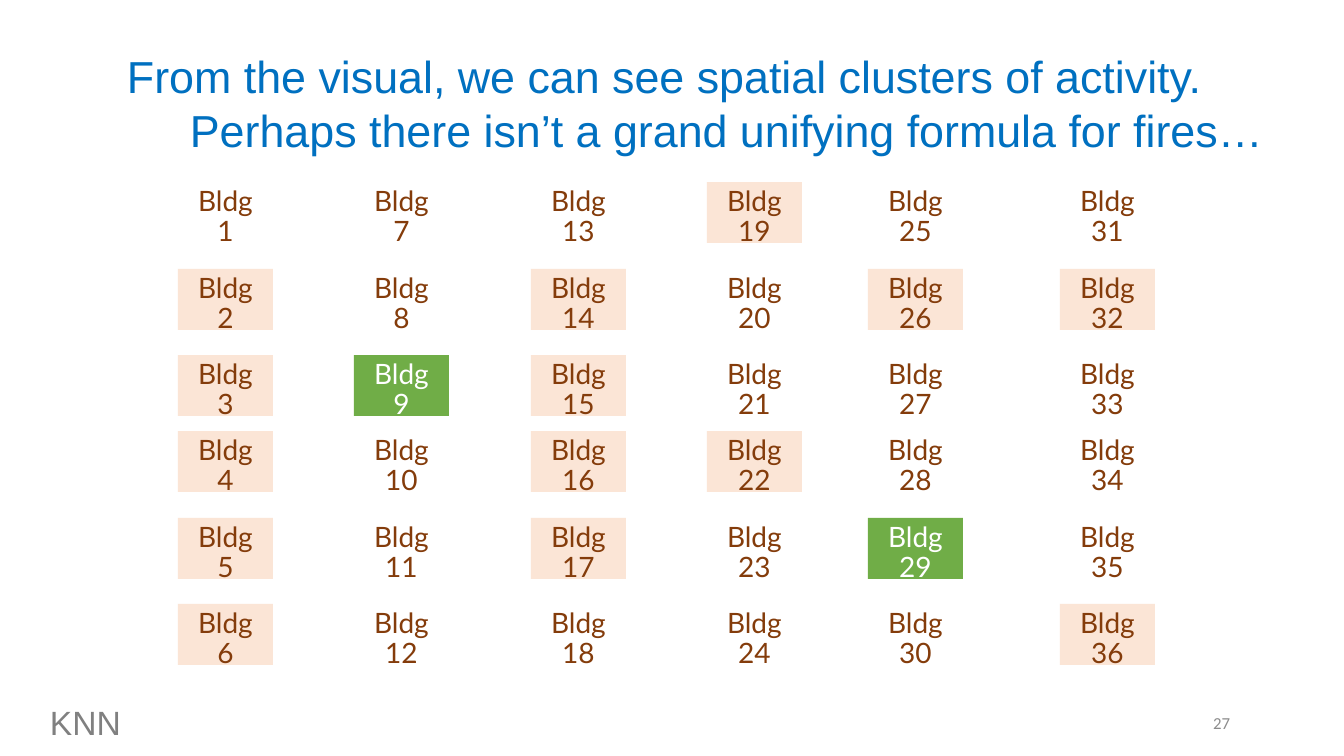
from pptx import Presentation
from pptx import util as u
from pptx.dml.color import RGBColor
from pptx.enum import shapes, text

PX = 12192000 // 1344  # EMU per px

# Building grid, numbered down each column
COLUMN_LEFTS = [178, 354, 531, 707, 868, 1060]
ROW_TOPS = [182, 269, 355, 431, 518, 604]
CELL_WIDTH, CELL_HEIGHT = 95, 61
ACTIVE_BUILDINGS = {2, 3, 4, 5, 6, 14, 15, 16, 17, 19, 22, 26, 32, 36}
GREEN_BUILDINGS = {9, 29}


def px(value):
    return u.Emu(value * PX)


def color(hex_value):
    return RGBColor.from_string(hex_value)


def write(shape, content, font, size, hex_value, align=text.PP_ALIGN.LEFT,
          anchor=text.MSO_ANCHOR.TOP, hanging=0):
    """Fill a shape with one paragraph and return that paragraph."""
    frame = shape.text_frame
    frame.word_wrap = True
    frame.vertical_anchor = anchor
    paragraph = frame.paragraphs[0]
    paragraph.text = content
    paragraph.alignment = align
    if hanging:
        properties = paragraph._p.get_or_add_pPr()
        properties.set("marL", str(px(hanging)))
        properties.set("indent", str(-px(hanging)))
    paragraph.font.name = font
    paragraph.font.size = u.Pt(size)
    paragraph.font.color.rgb = color(hex_value)
    return paragraph


def add_label(slide, left, top, width, height, *args, **options):
    box = slide.shapes.add_textbox(px(left), px(top), px(width), px(height))
    return write(box, *args, **options)


def add_block(slide, left, top, width, height, fill, *args, **options):
    block = slide.shapes.add_shape(shapes.MSO_SHAPE.RECTANGLE,
                                   px(left), px(top), px(width), px(height))
    block.shadow.inherit = False
    block.fill.solid()
    block.fill.fore_color.rgb = color(fill)
    block.line.fill.background()
    return write(block, *args, **options)


def add_building(slide, number, left, top):
    place = (left, top, CELL_WIDTH, CELL_HEIGHT)
    name = f"Bldg {number}"
    center = text.PP_ALIGN.CENTER
    if number in GREEN_BUILDINGS:
        paragraph = add_block(slide, *place, "70AD47", name, "Lato", 20, "FFFFFF", center)
    elif number in ACTIVE_BUILDINGS:
        paragraph = add_block(slide, *place, "FBE5D6", name, "Lato", 20, "843C0B", center)
    else:
        paragraph = add_label(slide, *place, name, "Lato", 20, "843C0B", center)
    paragraph.line_spacing = 0.9


def main():
    presentation = Presentation()
    presentation.slide_width, presentation.slide_height = px(1344), px(756)
    slide = presentation.slides.add_slide(presentation.slide_layouts[6])

    # Title
    add_label(slide, 117, 44, 1229, 119,
              "From the visual, we can see spatial clusters of activity. "
              "Perhaps there isn’t a grand unifying formula for fires…",
              "Arial", 32, "0070C0", hanging=63)

    # Buildings
    for column, left in enumerate(COLUMN_LEFTS):
        for row, top in enumerate(ROW_TOPS):
            add_building(slide, column * len(ROW_TOPS) + row + 1, left, top)

    # Footer
    add_block(slide, 40, 697, 987, 50, "FFFFFF", "KNN", "Arial", 24, "808080", hanging=2)
    add_label(slide, 938, 703, 302, 40, "27", "Calibri", 12, "8C8C8C",
              text.PP_ALIGN.RIGHT, text.MSO_ANCHOR.MIDDLE)

    presentation.save("out.pptx")


if __name__ == "__main__":
    main()
